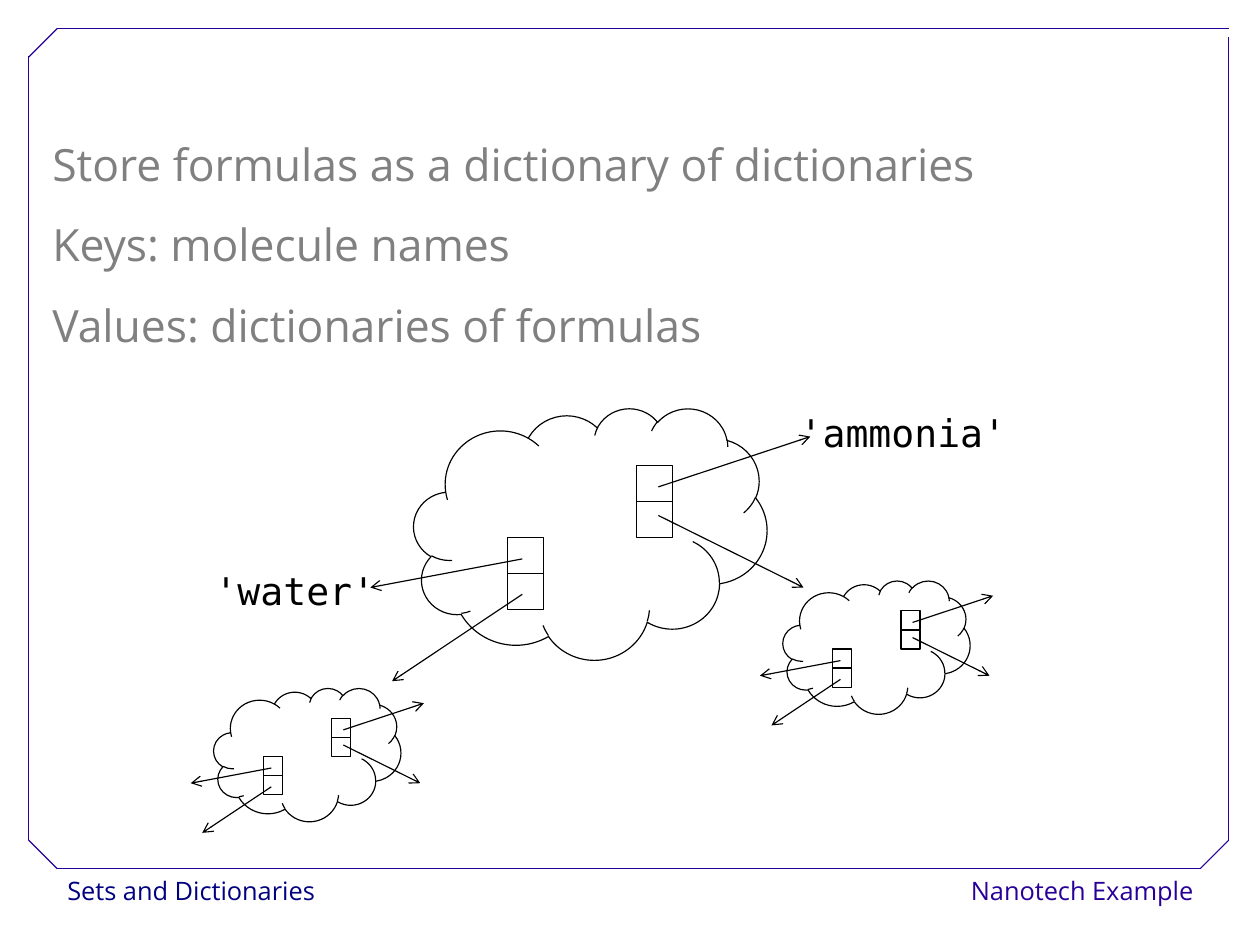
from pptx import Presentation
from pptx.dml.color import RGBColor
from pptx.enum import shapes, text
from pptx.oxml.ns import qn
from pptx.util import Inches, Pt
from lxml import etree

COLORS = {
    "frame": "280099",
    "footer": "000080",
    "body": "808080",
    "ink": "000000",
    "paper": "FFFFFF",
}
SANS, MONO = "Open Sans", "DejaVu Sans Mono"
LEFT, CENTER, RIGHT = text.PP_ALIGN.LEFT, text.PP_ALIGN.CENTER, text.PP_ALIGN.RIGHT

# The page is 28 by 21 cm
PAGE_WIDTH, PAGE_HEIGHT = Inches(28 / 2.54), Inches(21 / 2.54)

# Dictionary drawing, measured from the top left of its cloud
CLOUD_SIZE = (3.09, 2.2)
CELL = 0.315
ENTRIES = [(0.82, 1.13), (1.95, 0.5)]
ARROWS = [
    ((0.95, 1.32), (-0.38, 1.57)),
    ((0.95, 1.63), (-0.19, 2.39)),
    ((2.14, 0.69), (3.47, 0.25)),
    ((2.14, 0.94), (3.41, 1.57)),
]
FRAME_LINES = [
    ((0.5, 7.6), (10.5, 7.6)),
    ((0.25, 7.35), (0.25, 0.49)),
    ((0.5, 0.25), (10.75, 0.25)),
    ((10.75, 7.35), (10.75, 0.32)),
    ((0.25, 0.5), (0.5, 0.25)),
    ((10.5, 7.6), (10.75, 7.35)),
    ((0.25, 7.35), (0.5, 7.6)),
]


def color(name):
    return RGBColor.from_string(COLORS[name])


def add_line(parent, start, end, stroke="ink", arrow=False):
    points = [Inches(v) for v in (*start, *end)]
    line = parent.add_connector(shapes.MSO_CONNECTOR.STRAIGHT, *points)
    line.line.color.rgb = color(stroke)
    line.line.width = Pt(0.75)
    if arrow:
        ln = line._element.spPr.find(qn("a:ln"))
        etree.SubElement(ln, qn("a:tailEnd"), type="arrow")
    etree.SubElement(line._element.spPr, qn("a:effectLst"))


def add_outline(parent, kind, x, y, w, h):
    sp = parent.add_shape(kind, Inches(x), Inches(y), Inches(w), Inches(h))
    sp.shadow.inherit = False
    sp.fill.background()
    sp.line.color.rgb = color("ink")
    sp.line.width = Pt(0.75)


def add_text(s, lines, x, y, w, h, *, size, font, ink, align=LEFT,
             spacing=1.0, wrap=True, fill=None):
    box = [Inches(v) for v in (x, y, w, h)]
    if fill:
        sp = s.shapes.add_shape(shapes.MSO_SHAPE.RECTANGLE, *box)
        sp.shadow.inherit = False
        sp.fill.solid()
        sp.fill.fore_color.rgb = color(fill)
        sp.line.fill.background()
    else:
        sp = s.shapes.add_textbox(*box)
    tf = sp.text_frame
    tf.word_wrap = wrap
    tf.vertical_anchor = text.MSO_ANCHOR.TOP
    tf.text = "\n".join(lines)
    for p in tf.paragraphs:
        p.alignment = align
        p.line_spacing = spacing
        r = p.runs[0]
        r.font.size = Pt(size)
        r.font.name = font
        r.font.color.rgb = color(ink)


def add_frame(s):
    group = s.shapes.add_group_shape().shapes
    for start, end in FRAME_LINES:
        add_line(group, start, end, "frame")


def add_dictionary(s, x, y, scale=1.0):
    def place(point):
        return x + point[0] * scale, y + point[1] * scale

    group = s.shapes.add_group_shape().shapes
    w, h = CLOUD_SIZE
    add_outline(group, shapes.MSO_SHAPE.CLOUD, x, y, w * scale, h * scale)
    # Each entry is a key cell above a value cell
    side = CELL * scale
    for entry in ENTRIES:
        left, top = place(entry)
        for row in (1, 0):
            add_outline(group, shapes.MSO_SHAPE.RECTANGLE,
                        left, top + row * side, side, side)
    for start, end in ARROWS:
        add_line(group, place(start), place(end), arrow=True)


def main():
    prs = Presentation()
    prs.slide_width, prs.slide_height = PAGE_WIDTH, PAGE_HEIGHT
    s = prs.slides.add_slide(prs.slide_layouts[6])

    # Footer and frame
    footer = dict(size=16, font=SANS, spacing=1.02, wrap=False, fill="paper")
    add_text(s, ["Sets and Dictionaries"], 0.49, 7.6, 2.15, 0.4,
             ink="footer", **footer)
    add_text(s, ["Nanotech Example"], 9.14, 7.6, 1.4, 0.4,
             ink="frame", align=RIGHT, **footer)
    add_frame(s)

    # Statements
    add_text(s, ["Store formulas as a dictionary of dictionaries",
                 "Keys: molecule names",
                 "Values: dictionaries of formulas"],
             0.36, 0.92, 9.34, 2.2, size=28, font=SANS, ink="body",
             spacing=1.5)

    # Outer dictionary with its keys
    add_dictionary(s, 3.62, 3.57)
    key = dict(size=24, font=MONO, ink="ink", align=CENTER, spacing=0.93)
    add_text(s, ["'water'"], 1.73, 4.95, 1.7, 0.44, **key)
    add_text(s, ["'ammonia'"], 6.85, 3.57, 2.1, 0.44, **key)

    # Inner dictionaries
    for x, y in [(1.87, 6.02), (6.85, 5.08)]:
        add_dictionary(s, x, y, scale=0.53)

    prs.save("out.pptx")


if __name__ == "__main__":
    main()
